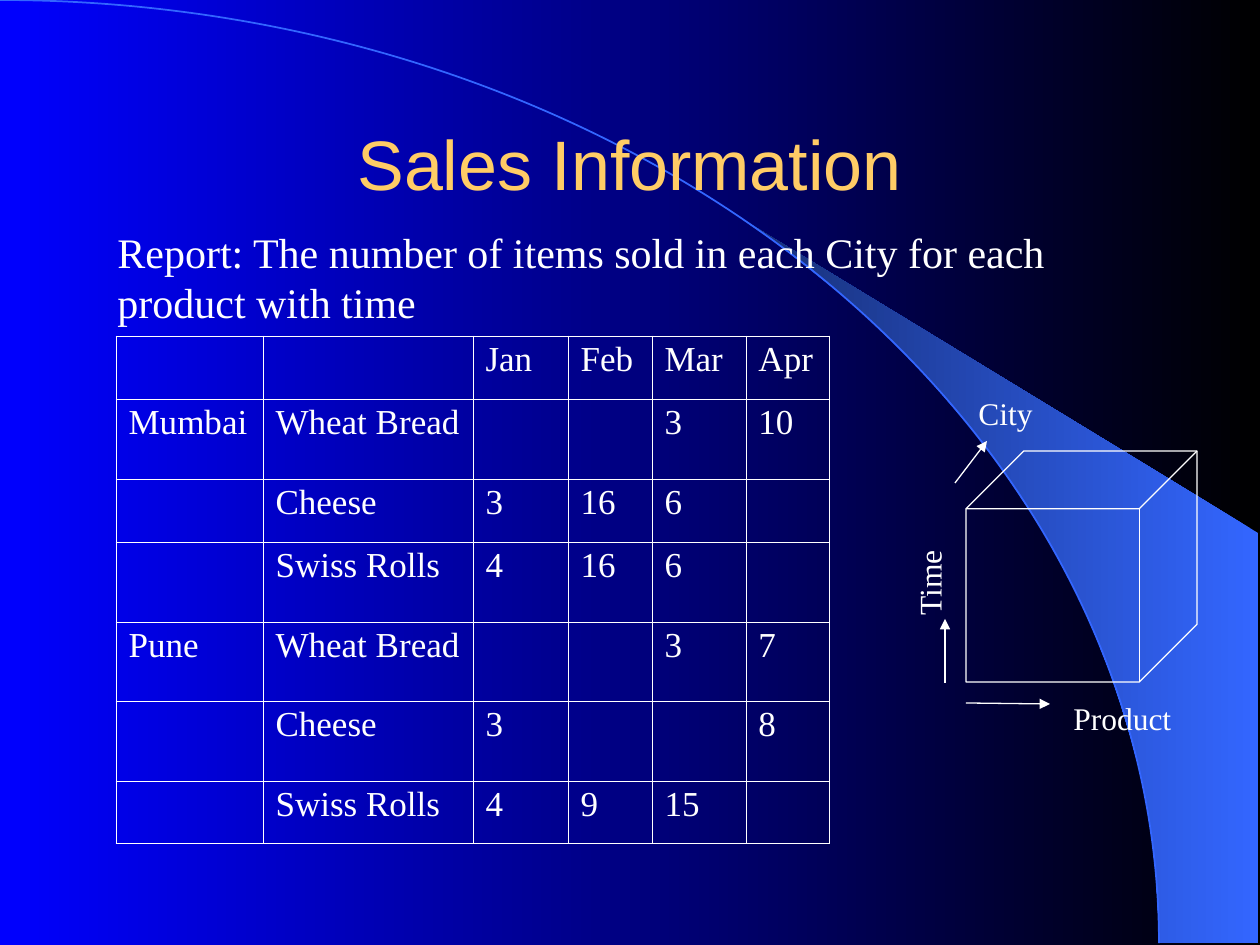
import math
from typing import NamedTuple

from lxml import etree
from pptx import Presentation
from pptx.dml.color import RGBColor
from pptx.enum.shapes import MSO_CONNECTOR, MSO_SHAPE
from pptx.enum.text import MSO_ANCHOR, MSO_AUTO_SIZE, PP_ALIGN
from pptx.oxml.ns import qn
from pptx.util import Emu, Pt

STRAIGHT = MSO_CONNECTOR.STRAIGHT
ARC, CUBE = MSO_SHAPE.ARC, MSO_SHAPE.CUBE
MIDDLE, CENTER = MSO_ANCHOR.MIDDLE, PP_ALIGN.CENTER
FIT_SHAPE = MSO_AUTO_SIZE.SHAPE_TO_FIT_TEXT

EMU_PER_PX = 914400 / 126
SLIDE_WIDTH, SLIDE_HEIGHT = 1260, 945
WHITE, GOLD, BLUE, BLACK = "FFFFFF", "FFCC66", "0000FF", "000000"
ARC_BLUE, DARK_BLUE = "3366FF", "172F75"
SERIF, SANS = "Times New Roman", "Arial"

ARC_WIDTH, ARC_HEIGHT = 1159, 943
WEDGE_TIP_X, WEDGE_RIGHT, WEDGE_RIGHT_TOP = 742, 1258, 533
WEDGE_STEPS = 24

TABLE_LEFT, TABLE_TOP = 116, 336
COLUMN_WIDTHS = [147, 210, 95, 84, 94, 84]
ROW_HEIGHTS = [63, 80, 63, 80, 79, 80, 63]
SALES = [
    ["", "", "Jan", "Feb", "Mar", "Apr"],
    ["Mumbai", "Wheat Bread", "", "", "3", "10"],
    ["", "Cheese", "3", "16", "6", ""],
    ["", "Swiss Rolls", "4", "16", "6", ""],
    ["Pune", "Wheat Bread", "", "", "3", "7"],
    ["", "Cheese", "3", "", "", "8"],
    ["", "Swiss Rolls", "4", "9", "15", ""],
]
OUTER_BORDER, INNER_BORDER = 0.5, 0.23


class Box(NamedTuple):
    left: int
    top: int
    width: int
    height: int


class Label(NamedTuple):
    text: str
    box: Box
    size: int = 18
    rotation: int = 0
    wrap: bool = True
    space_before: int = 0


class Arrow(NamedTuple):
    start_x: int
    start_y: int
    end_x: int
    end_y: int


LABELS = [
    Label("Report: The number of items sold in each City for each product with time",
          Box(105, 220, 1050, 113), size=24, space_before=15),
    Label("Product", Box(1061, 693, 123, 50)),
    Label("Time", Box(883, 557, 92, 50), rotation=270, wrap=False),
    Label("City", Box(966, 388, 137, 50)),
]
AXIS_ARROWS = [
    Arrow(966, 703, 1050, 704),
    Arrow(945, 683, 945, 619),
    Arrow(955, 483, 987, 441),
]


def px(length: int) -> Emu:
    return Emu(round(length * EMU_PER_PX))


def color(hex_value: str) -> RGBColor:
    return RGBColor.from_string(hex_value)


def apply_format(target, values: dict) -> None:
    for name, value in values.items():
        setattr(target, name, value)


def format_text(paragraph, size: int, font: str, hex_value: str, **paragraph_values) -> None:
    apply_format(paragraph, paragraph_values)
    apply_format(paragraph.font, {"size": Pt(size), "name": font})
    paragraph.font.color.rgb = color(hex_value)


def format_line(line, hex_value: str, width: float) -> None:
    line.color.rgb = color(hex_value)
    line.width = Pt(width)


def fill_gradient(fill, right: str, left: str) -> None:
    fill.gradient()
    fill.gradient_angle = 180
    for stop, hex_value in zip(fill.gradient_stops, (right, left)):
        stop.color.rgb = color(hex_value)


def add_outline(slide, preset, box: Box, hex_value: str, width: float) -> None:
    """Add an unfilled preset shape."""
    shape = slide.shapes.add_shape(preset, *map(px, box))
    shape.shadow.inherit = False
    shape.fill.background()
    format_line(shape.line, hex_value, width)


def add_wedge(slide) -> None:
    """Fill the area between the arc and its tangent to the right edge."""
    first_angle = math.asin(WEDGE_TIP_X / ARC_WIDTH)
    step = (math.pi / 2 - first_angle) / WEDGE_STEPS
    angles = [first_angle + step * index for index in range(WEDGE_STEPS + 1)]
    curve = [(round(ARC_WIDTH * math.sin(angle)), round(ARC_HEIGHT * (1 - math.cos(angle))))
             for angle in angles]
    corners = [(WEDGE_RIGHT, ARC_HEIGHT), (WEDGE_RIGHT, WEDGE_RIGHT_TOP)]
    builder = slide.shapes.build_freeform(*curve[0], scale=EMU_PER_PX)
    builder.add_line_segments(curve[1:] + corners, close=True)
    wedge = builder.convert_to_shape()
    wedge.shadow.inherit = False
    wedge.line.fill.background()
    fill_gradient(wedge.fill, ARC_BLUE, DARK_BLUE)


def add_title(slide, text: str, box: Box) -> None:
    title = slide.shapes.title
    apply_format(title, dict(zip(Box._fields, map(px, box))))
    title.text_frame.text = text
    title.text_frame.vertical_anchor = MIDDLE
    format_text(title.text_frame.paragraphs[0], 40, SANS, GOLD, alignment=CENTER)
    slide.shapes._spTree.append(title._element)  # bring in front of the arc


def add_label(slide, label: Label) -> None:
    shape = slide.shapes.add_textbox(*map(px, label.box))
    shape.rotation = label.rotation
    frame = shape.text_frame
    apply_format(frame, {"text": label.text, "word_wrap": label.wrap, "auto_size": FIT_SHAPE})
    format_text(frame.paragraphs[0], label.size, SERIF, WHITE,
                space_before=Pt(label.space_before))


def add_arrow(slide, arrow: Arrow) -> None:
    connector = slide.shapes.add_connector(STRAIGHT, *map(px, arrow))
    format_line(connector.line, WHITE, 0.75)
    line = connector.line._get_or_add_ln()
    etree.SubElement(line, qn("a:tailEnd"), type="triangle")
    etree.SubElement(connector._element.spPr, qn("a:effectLst"))


def set_borders(cell, widths: dict[str, float]) -> None:
    properties = cell._tc.get_or_add_tcPr()
    for position, (side, width) in enumerate(widths.items()):
        border = etree.Element(qn(f"a:ln{side}"), w=str(Pt(width)))
        fill = etree.SubElement(border, qn("a:solidFill"))
        etree.SubElement(fill, qn("a:srgbClr"), val=WHITE)
        properties.insert(position, border)


def add_sales_table(slide) -> None:
    last_row, last_column = len(ROW_HEIGHTS) - 1, len(COLUMN_WIDTHS) - 1
    box = Box(TABLE_LEFT, TABLE_TOP, sum(COLUMN_WIDTHS), sum(ROW_HEIGHTS))
    table = slide.shapes.add_table(last_row + 1, last_column + 1, *map(px, box)).table
    apply_format(table, {"first_row": False, "horz_banding": False})
    for column, width in zip(table.columns, COLUMN_WIDTHS):
        column.width = px(width)
    for row_index, (row, height) in enumerate(zip(table.rows, ROW_HEIGHTS)):
        row.height = px(height)
        for column_index, cell in enumerate(row.cells):
            cell.text = SALES[row_index][column_index]
            cell.fill.background()
            format_text(cell.text_frame.paragraphs[0], 20, SERIF, WHITE,
                        line_spacing=0.93, space_before=Pt(5))
            on_edge = {"L": column_index == 0, "R": column_index == last_column,
                       "T": row_index == 0, "B": row_index == last_row}
            set_borders(cell, {side: OUTER_BORDER if outer else INNER_BORDER
                               for side, outer in on_edge.items()})


def main() -> None:
    presentation = Presentation()
    presentation.slide_width, presentation.slide_height = px(SLIDE_WIDTH), px(SLIDE_HEIGHT)
    slide = presentation.slides.add_slide(presentation.slide_layouts.get_by_name("Title Only"))
    fill_gradient(slide.background.fill, BLACK, BLUE)
    add_wedge(slide)
    add_outline(slide, ARC, Box(-ARC_WIDTH, 0, 2 * ARC_WIDTH, 2 * ARC_HEIGHT), ARC_BLUE, 1)
    add_title(slide, "Sales Information", Box(94, 84, 1071, 158))
    add_sales_table(slide)
    add_outline(slide, CUBE, Box(966, 451, 231, 231), WHITE, 0.75)
    for label in LABELS:
        add_label(slide, label)
    for arrow in AXIS_ARROWS:
        add_arrow(slide, arrow)
    presentation.save("out.pptx")


if __name__ == "__main__":
    main()
